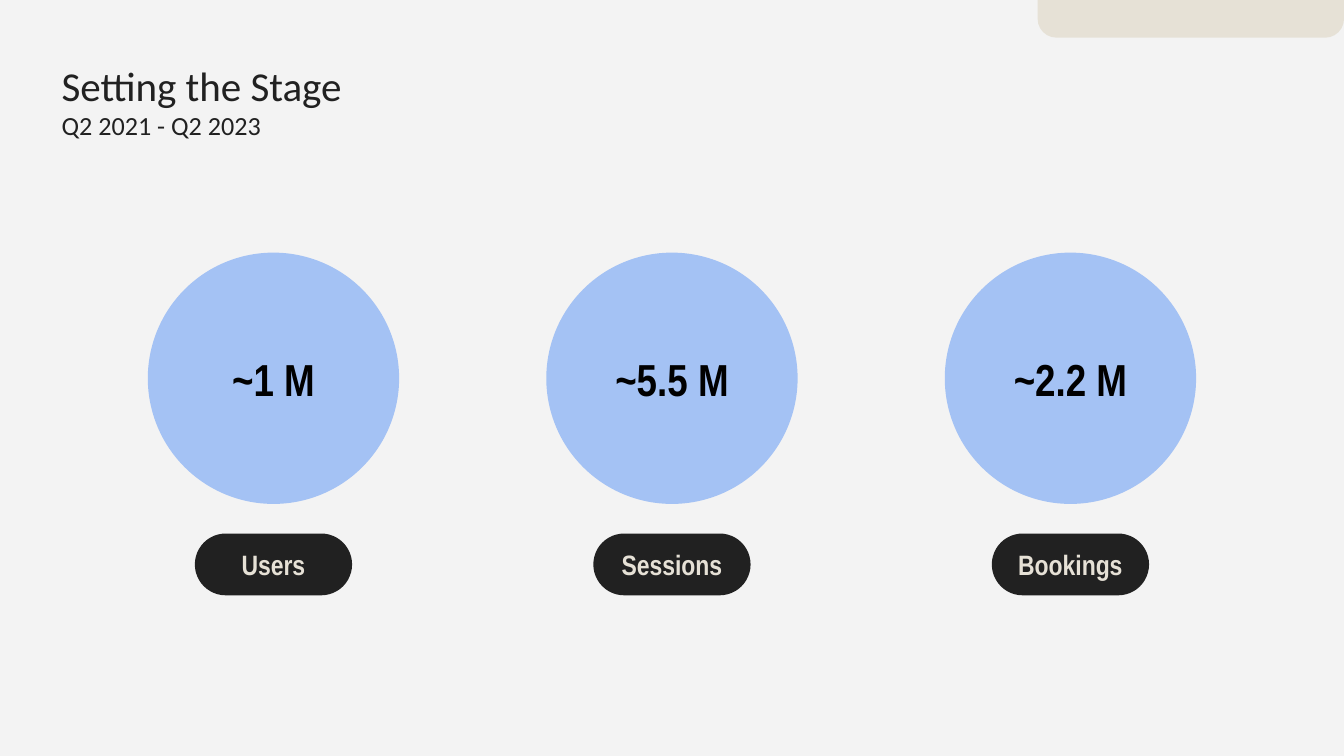
from pptx import Presentation
from pptx.dml.color import RGBColor
from pptx.enum.shapes import MSO_SHAPE as SHAPE
from pptx.enum.text import MSO_ANCHOR as ANCHOR, PP_ALIGN as ALIGN
from pptx.util import Inches, Pt

COLORS = {"paper": "F3F3F3", "sand": "E6E1D6", "ink": "212121",
          "sky": "A4C2F4", "black": "000000"}
COLS, ROWS = 100, 56.25  # square grid cells over a 16:9 slide


class Deck:
    heading_font, figure_font = "Calibri", "Arial Narrow"

    def __init__(self):
        self.prs = Presentation()
        self.prs.slide_width = Inches(10)
        self.prs.slide_height = Inches(10) * 9 // 16
        self.slide = self.prs.slides.add_slide(self.prs.slide_layouts[6])
        self.paint(self.slide.background.fill, "paper")

    def paint(self, fill, color):
        fill.solid()
        fill.fore_color.rgb = RGBColor.from_string(COLORS[color])

    def box(self, x, y, w, h):
        """Turn grid columns and rows into slide lengths."""
        col = self.prs.slide_width / COLS
        row = self.prs.slide_height / ROWS
        return round(x * col), round(y * row), round(w * col), round(h * row)

    def frame(self, sp, anchor):
        tf = sp.text_frame
        tf.word_wrap = True
        tf.vertical_anchor = anchor
        tf.margin_left = tf.margin_right = Inches(0.1)
        tf.margin_top = tf.margin_bottom = Inches(0.1)
        return tf

    def set_text(self, p, text, font, size, color, bold=False):
        p.text = text
        p.font.name, p.font.size, p.font.bold = font, Pt(size), bold
        p.font.color.rgb = RGBColor.from_string(COLORS[color])

    def shape(self, kind, area, fill, adjustments=()):
        sp = self.slide.shapes.add_shape(kind, *self.box(*area))
        sp.shadow.inherit = False
        self.paint(sp.fill, fill)
        sp.line.fill.background()
        for i, value in enumerate(adjustments):
            sp.adjustments[i] = value
        return sp

    def label(self, sp, text, size, color):
        p = self.frame(sp, ANCHOR.MIDDLE).paragraphs[0]
        p.alignment = ALIGN.CENTER
        self.set_text(p, text, self.figure_font, size, color, bold=True)

    def heading(self, area, title, subtitle):
        sp = self.slide.shapes.add_textbox(*self.box(*area))
        tf = self.frame(sp, ANCHOR.TOP)
        p = tf.paragraphs[0]
        p.line_spacing = 0.8
        self.set_text(p, title, self.heading_font, 22, "ink")
        self.set_text(tf.add_paragraph(), subtitle, self.heading_font, 14, "ink")

    def metric(self, center, value, name):
        circle, pill_w, pill_h = 18.7, 11.7, 4.6
        sp = self.shape(SHAPE.OVAL, (center - circle / 2, 18.8, circle, circle), "sky")
        self.label(sp, value, 24, "black")
        sp = self.shape(SHAPE.ROUNDED_RECTANGLE,
                        (center - pill_w / 2, 39.7, pill_w, pill_h), "ink", [0.5])
        self.label(sp, name, 15, "sand")


def main():
    deck = Deck()

    # Corner tab, rounded at the bottom
    tab = deck.shape(SHAPE.ROUND_2_SAME_RECTANGLE, (77.2, 0, 22.8, 2.8), "sand", [0.5, 0])
    tab.rotation = 180

    # Title and period
    deck.heading((3.6, 4.2, 47, 7), "Setting the Stage", "Q2 2021 - Q2 2023")

    # Key figures, spread evenly around the slide's centre
    metrics = [("~1 M", "Users"), ("~5.5 M", "Sessions"), ("~2.2 M", "Bookings")]
    pitch = 29.65
    for i, (value, name) in enumerate(metrics):
        deck.metric(COLS / 2 + (i - 1) * pitch, value, name)

    deck.prs.save("out.pptx")


if __name__ == "__main__":
    main()
